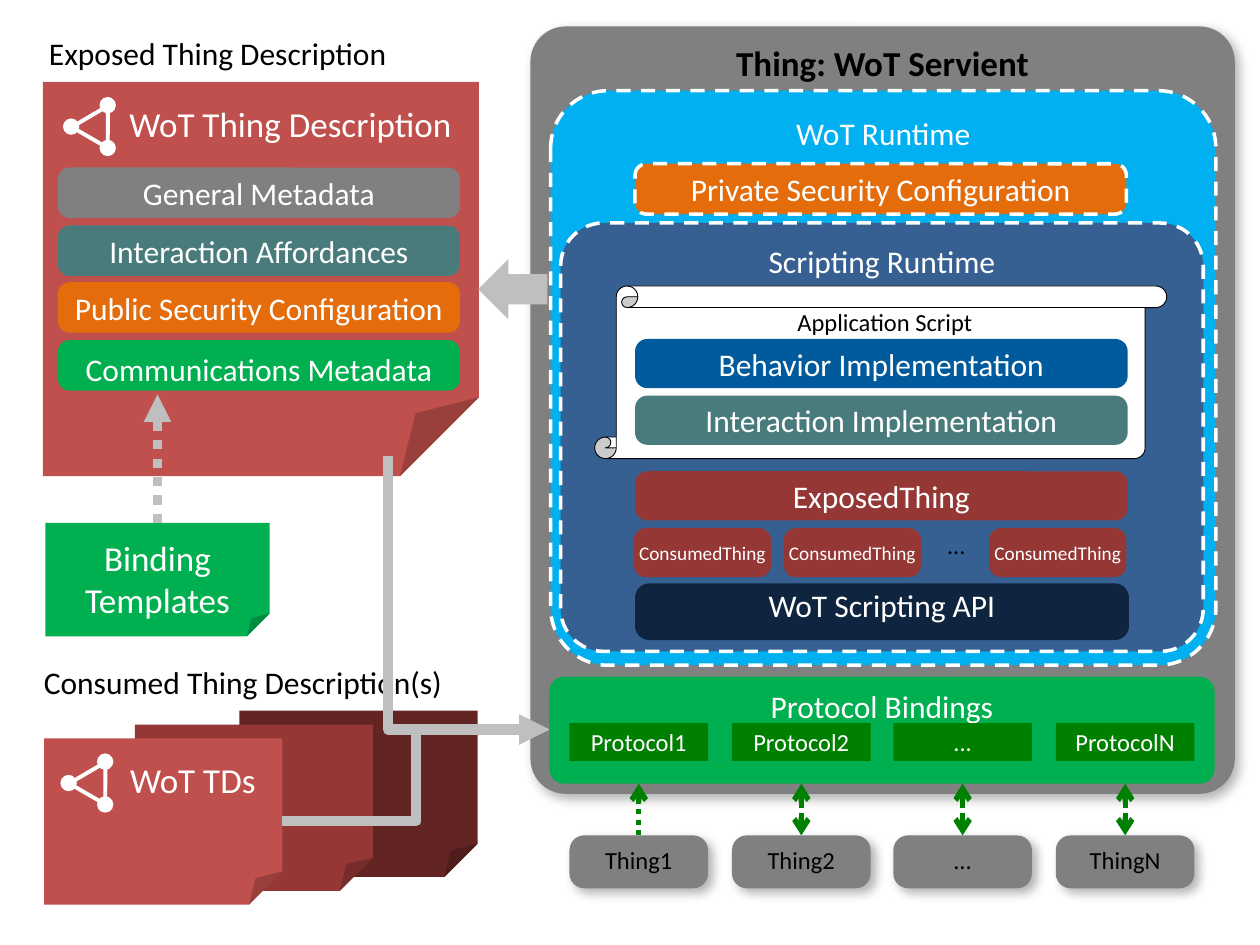
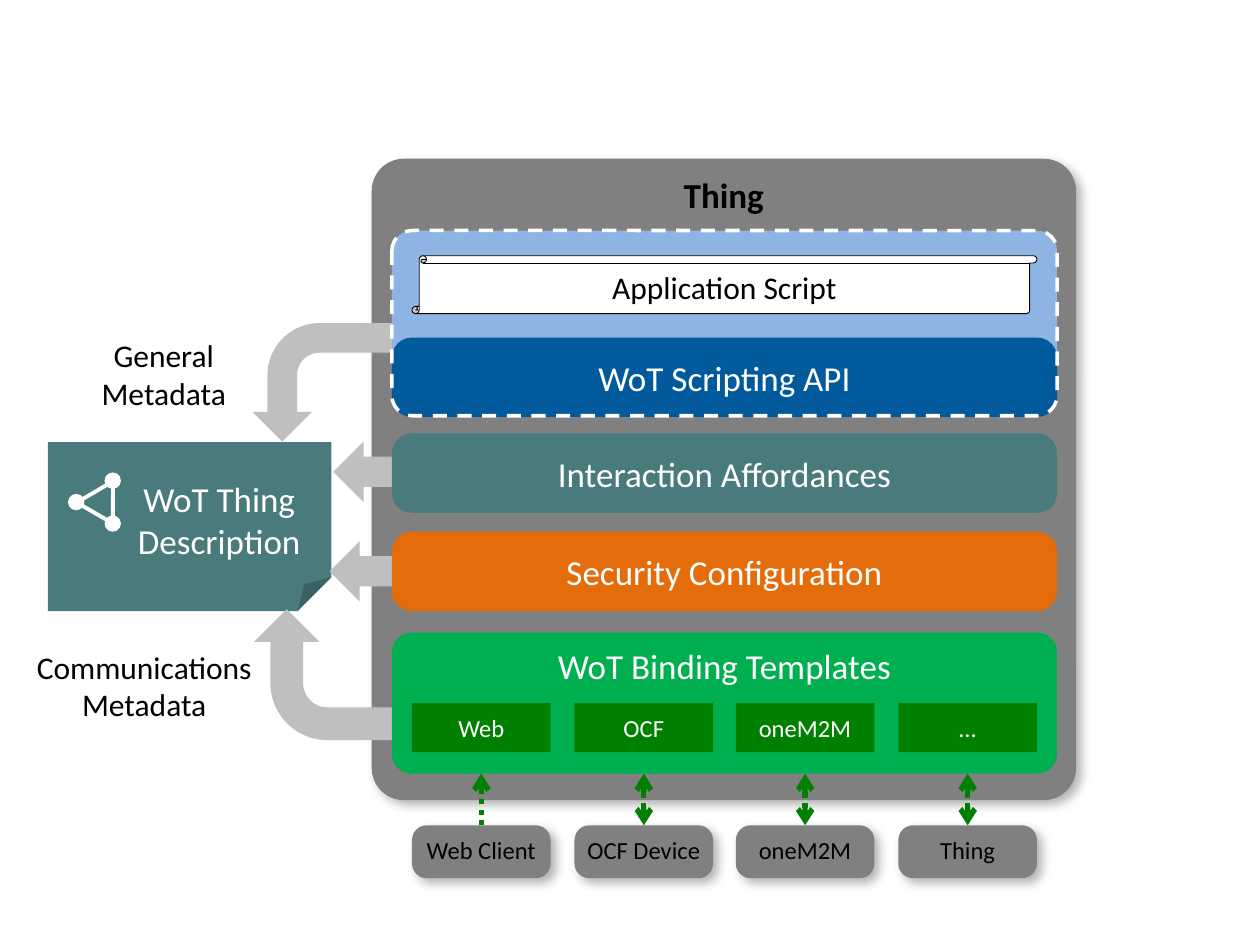
from lxml import etree
from pptx import Presentation
from pptx.dml.color import RGBColor
from pptx.enum.dml import MSO_LINE
from pptx.enum.shapes import MSO_CONNECTOR, MSO_SHAPE
from pptx.enum.text import MSO_ANCHOR, MSO_AUTO_SIZE, PP_ALIGN
from pptx.oxml.ns import qn
from pptx.util import Pt

PX = 9144
FONT = "Calibri"
ROUND, RECT, FOLDED = MSO_SHAPE.ROUNDED_RECTANGLE, MSO_SHAPE.RECTANGLE, MSO_SHAPE.FOLDED_CORNER
SCROLL, DOWN_ARROW, BENT_ARROW = MSO_SHAPE.VERTICAL_SCROLL, MSO_SHAPE.DOWN_ARROW, MSO_SHAPE.BENT_ARROW
OVAL, TRIANGLE = MSO_SHAPE.OVAL, MSO_SHAPE.ISOSCELES_TRIANGLE
STRAIGHT, ELBOW = MSO_CONNECTOR.STRAIGHT, MSO_CONNECTOR.ELBOW
DASH, DOTS = MSO_LINE.DASH, MSO_LINE.ROUND_DOT
TOP, MIDDLE, BOTTOM = MSO_ANCHOR.TOP, MSO_ANCHOR.MIDDLE, MSO_ANCHOR.BOTTOM
LEFT, CENTER = PP_ALIGN.LEFT, PP_ALIGN.CENTER
GROW = MSO_AUTO_SIZE.SHAPE_TO_FIT_TEXT

WHITE, BLACK, GRAY, ARROW_GRAY = "FFFFFF", "000000", "808080", "BFBFBF"
TEAL, ORANGE, GREEN, DARK_GREEN = "4A7B7C", "E46C0A", "00B050", "008000"
RED, DARK_RED, DEEP_RED = "C0504D", "953735", "632523"
BLUE, SKY, STEEL, NAVY, PALE_BLUE = "005A9C", "00B0F0", "376092", "0F243E", "8EB4E3"

PADDING = (10, 5, 10, 5)
FRAME_PADDING = (10, 4, 10, 8)
API_PADDING = (10, 5, 10, 10)
SHEET_PADDING = (47, 16, 0, 0)
DASHED = (WHITE, 2, DASH)
THIN = (BLACK, 0.5, None)


def rgb(value):
    return RGBColor.from_string(value)


def emu(*lengths):
    return [round(length * PX) for length in lengths]


def inside(box, dx, dy, width, height):
    return box[0] + dx, box[1] + dy, width, height


def write(shape, text, size, color, bold=False, align=CENTER):
    frame = shape.text_frame
    frame.word_wrap = False
    paragraph = frame.paragraphs[0]
    paragraph.text = text
    paragraph.alignment = align
    for run in paragraph.runs:
        run.font.name = FONT
        run.font.size = Pt(size)
        run.font.bold = bold
        run.font.color.rgb = rgb(color)


def draw_line(line, color, width, dash):
    line.color.rgb = rgb(color)
    line.width = Pt(width)
    if dash is not None:
        line.dash_style = dash


def cast_shadow(shape):
    effects = shape._element.spPr.find(qn("a:effectLst"))
    shadow = etree.SubElement(effects, qn("a:outerShdw"), blurRad=str(Pt(6)), dist=str(Pt(4)),
                              dir="2700000", algn="tl", rotWithShape="0")
    tint = etree.SubElement(shadow, qn("a:srgbClr"), val=BLACK)
    etree.SubElement(tint, qn("a:alpha"), val="30000")


def set_corner(shape, ratio):
    geometry = shape._element.spPr.find(qn("a:prstGeom"))
    for guides in geometry.findall(qn("a:avLst")):
        geometry.remove(guides)
    guides = etree.SubElement(geometry, qn("a:avLst"))
    etree.SubElement(guides, qn("a:gd"), name="adj", fmla=f"val {round(ratio * 100000)}")


def block(slide, box, fill=None, text="", size=18, kind=ROUND, radius=None, color=WHITE, line=None,
          anchor=MIDDLE, padding=PADDING, bold=False, shadow=False, turn=0, flip=""):
    shape = slide.shapes.add_shape(kind, *emu(*box))
    shape.shadow.inherit = False
    if shadow:
        cast_shadow(shape)
    if radius is not None:
        set_corner(shape, radius)
    if fill:
        shape.fill.solid()
        shape.fill.fore_color.rgb = rgb(fill)
    else:
        shape.fill.background()
    if line:
        draw_line(shape.line, *line)
    else:
        shape.line.fill.background()
    shape.rotation = turn
    for axis in flip:
        shape._element.spPr.xfrm.set("flip" + axis, "1")
    if text:
        write(shape, text, size, color, bold)
        frame = shape.text_frame
        frame.vertical_anchor = anchor
        frame.margin_left, frame.margin_top, frame.margin_right, frame.margin_bottom = emu(*padding)


def label(slide, box, text, size=18, align=LEFT):
    caption = slide.shapes.add_textbox(*emu(*box))
    write(caption, text, size, BLACK, align=align)
    caption.text_frame.auto_size = GROW


def connect(slide, start, end, color, width, head, dash=None, both=False, kind=STRAIGHT):
    connector = slide.shapes.add_connector(kind, *emu(*start, *end))
    draw_line(connector.line, color, width, dash)
    line = connector._element.spPr.find(qn("a:ln"))
    if both:
        etree.SubElement(line, qn("a:headEnd"), type=head)
    etree.SubElement(line, qn("a:tailEnd"), type=head)
    etree.SubElement(connector._element.spPr, qn("a:effectLst"))
    return connector


def connect_down_then_right(slide, start, end, color, width, head):
    across, down = end[0] - start[0], end[1] - start[1]
    middle_x, middle_y = (start[0] + end[0]) / 2, (start[1] + end[1]) / 2
    connector = connect(slide, (middle_x + down / 2, middle_y - across / 2),
                        (middle_x - down / 2, middle_y + across / 2), color, width, head, kind=ELBOW)
    properties = connector._element.spPr
    properties.find(qn("a:xfrm")).set("rot", "16200000")
    properties.find(qn("a:prstGeom")).set("prst", "bentConnector2")


def share_icon(slide, x, y):
    block(slide, (x + 12, y + 5, 33, 29), kind=TRIANGLE, line=(WHITE, 2.25, None), turn=30)
    for dx, dy in ((29, 0), (0, 17), (29, 34)):
        block(slide, (x + dx, y + dy, 13, 13), WHITE, kind=OVAL)


def sheet(slide, box, fill, text="", anchor=TOP, padding=SHEET_PADDING):
    block(slide, box, fill, text, 20, FOLDED, 0.2, anchor=anchor, padding=padding)


def thing_frame(slide, box, title):
    block(slide, box, GRAY, title, 20, radius=0.05, color=BLACK, anchor=TOP,
          padding=FRAME_PADDING, bold=True, shadow=True)


def protocol_layer(slide, box, title, size, port_top, port_height, ports, peers):
    block(slide, box, GREEN, title, size, radius=0.14, anchor=TOP)
    bottom = box[3]
    for index, (port, peer) in enumerate(zip(ports, peers)):
        dx = 16 + round(index * 386 / 3)
        block(slide, inside(box, dx, port_top, 110, port_height), DARK_GREEN, port, 14, RECT)
        peer_box = inside(box, dx, bottom + 41, 110, 42)
        block(slide, peer_box, GRAY, peer, 14, radius=0.28, color=BLACK,
              padding=FRAME_PADDING, shadow=True)
        x = peer_box[0] + 55
        connect(slide, (x, peer_box[1]), (x, box[1] + bottom), DARK_GREEN, 3, "arrow", DOTS, both=index > 0)


def servient(slide, box):
    thing_frame(slide, box, "Thing: WoT Servient")
    block(slide, inside(box, 16, 51, 528, 456), SKY, "WoT Runtime", radius=0.1, line=DASHED,
          anchor=TOP, padding=(10, 5, 10, 5))
    block(slide, inside(box, 24, 156, 510, 340), STEEL, "Scripting Runtime", radius=0.1, line=DASHED,
          anchor=TOP, padding=(10, 5, 10, 5))
    block(slide, inside(box, 83, 109, 390, 40), ORANGE, "Private Security Configuration",
          radius=0.23, line=DASHED)
    block(slide, inside(box, 51, 206, 454, 137), WHITE, kind=SCROLL, line=THIN)
    label(slide, inside(box, 202, 218, 161, 34), "Application Script", 14)
    for dy, fill, text in ((248, BLUE, "Behavior Implementation"),
                           (293, TEAL, "Interaction Implementation"),
                           (353, DARK_RED, "ExposedThing")):
        block(slide, inside(box, 83, dy, 391, 39), fill, text, radius=0.25)
    for dx in (82, 201, 364):
        block(slide, inside(box, dx, 398, 109, 39), DARK_RED, "ConsumedThing", 11, radius=0.25)
    block(slide, inside(box, 319, 392, 38, 42), text="…", size=14, color=BLACK, padding=FRAME_PADDING)
    block(slide, inside(box, 83, 442, 392, 45), NAVY, "WoT Scripting API", radius=0.25,
          anchor=BOTTOM, padding=API_PADDING)
    protocol_layer(slide, inside(box, 15, 516, 528, 85), "Protocol Bindings", 18, 37, 30,
                   ("Protocol1", "Protocol2", "...", "ProtocolN"),
                   ("Thing1", "Thing2", "…", "ThingN"))


def exposed_description(slide, box):
    label(slide, inside(box, -5, -43, 291, 40), "Exposed Thing Description")
    sheet(slide, box, RED, "WoT Thing Description")
    share_icon(slide, box[0] + 16, box[1] + 12)
    sections = ((GRAY, "General Metadata"), (TEAL, "Interaction Affordances"),
                (ORANGE, "Public Security Configuration"), (GREEN, "Communications Metadata"))
    for index, (fill, text) in enumerate(sections):
        anchor = TOP if fill == GREEN else MIDDLE
        block(slide, inside(box, 12, 68 + round(index * 45.6), 319, 40), fill, text,
              radius=0.23, anchor=anchor)


def consumed_descriptions(slide, box):
    for index, fill in enumerate((DEEP_RED, DARK_RED)):
        depth = 2 - index
        sheet(slide, inside(box, round(depth * 77.5) - 6 * index, -11 * depth, *box[2:]), fill)
    sheet(slide, box, RED, "WoT TDs")
    share_icon(slide, box[0] + 13, box[1] + 12)
    label(slide, inside(box, -10, -65, 340, 40), "Consumed Thing Description(s)")


def servient_slide(slide):
    entry = (436, 579)
    servient(slide, (421, 21, 559, 609))
    consumed_descriptions(slide, (35, 586, 189, 132))
    connect(slide, (224, 652), entry, ARROW_GRAY, 5.75, "triangle", kind=ELBOW)
    exposed_description(slide, (34, 65, 346, 313))
    sheet(slide, (36, 415, 178, 90), GREEN, "Binding\nTemplates", MIDDLE, (0, 16, 0, 0))
    connect(slide, (125, 415), (125, 313), ARROW_GRAY, 5.25, "triangle", DOTS)
    connect_down_then_right(slide, (308, 362), entry, ARROW_GRAY, 5.75, "triangle")
    block(slide, (383, 202, 48, 55), ARROW_GRAY, kind=DOWN_ARROW, turn=90)


def description_summary(slide, box):
    sheet(slide, box, TEAL, "WoT Thing\nDescription", MIDDLE)
    share_icon(slide, box[0] + 16, box[1] + 24)
    label(slide, inside(box, 32, -89, 120, 71), "General\nMetadata", align=CENTER)
    label(slide, inside(box, -20, 158, 193, 71), "Communications\nMetadata", align=CENTER)


def metadata_arrows(slide, x, y):
    block(slide, (x - 4, y + 232, 104, 155), ARROW_GRAY, kind=BENT_ARROW, turn=90, flip="HV")
    block(slide, (x, y, 94, 155), ARROW_GRAY, kind=BENT_ARROW, turn=270, flip="H")
    for dx, dy in ((38, 120), (35, 199)):
        block(slide, (x + dx, y + dy, 48, 57), ARROW_GRAY, kind=DOWN_ARROW, turn=90)


def application_layer(slide, box):
    block(slide, inside(box, 0, 0, 528, 124), PALE_BLUE, radius=0.13)
    block(slide, inside(box, 0, 85, 528, 63), BLUE, "WoT Scripting API", 20, radius=0.25,
          anchor=BOTTOM, padding=API_PADDING)
    block(slide, inside(box, 16, 20, 496, 46), WHITE, "Application Script", kind=SCROLL,
          color=BLACK, line=THIN)
    block(slide, box, radius=0.11, line=DASHED)


def layers_slide(slide):
    box = (295, 126, 559, 509)
    description_summary(slide, (38, 351, 225, 134))
    thing_frame(slide, box, "Thing")
    metadata_arrows(slide, 231, 226)
    application_layer(slide, inside(box, 16, 57, 528, 147))
    for dy, fill, text in ((218, TEAL, "Interaction Affordances"), (296, ORANGE, "Security Configuration")):
        block(slide, inside(box, 16, dy, 528, 63), fill, text, 20, radius=0.25)
    protocol_layer(slide, inside(box, 16, 376, 528, 112), "WoT Binding Templates", 20, 56, 39,
                   ("Web", "OCF", "oneM2M", "…"),
                   ("Web Client", "OCF Device", "oneM2M", "Thing"))


def main():
    deck = Presentation()
    deck.slide_width, deck.slide_height = emu(1000, 750)
    for build in (servient_slide, layers_slide):
        build(deck.slides.add_slide(deck.slide_layouts[6]))
    deck.save("out.pptx")


if __name__ == "__main__":
    main()
